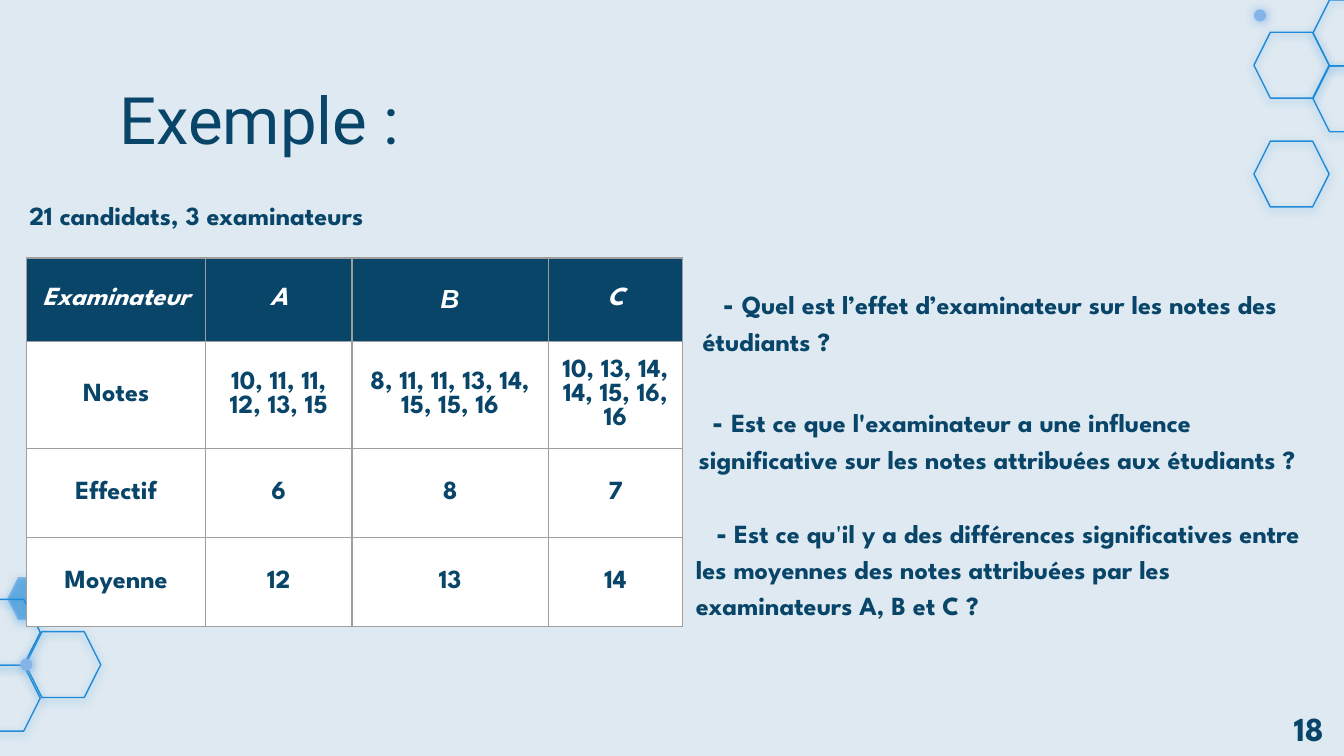
from dataclasses import dataclass
from lxml import etree
from pptx import Presentation
from pptx import util as u
from pptx.dml.color import RGBColor
from pptx.enum import shapes, text
from pptx.oxml import ns

NAVY, WHITE, PALE = "084569", "FFFFFF", "DEE9F1"
BLUE, SKY, GREY = "1F8AD7", "84B3E8", "9E9E9E"
SPARTAN = "League Spartan"


@dataclass
class Glow:
    tint: str
    alpha: int
    blur: float
    dist: float
    angle: int


@dataclass
class Deco:
    left: float
    top: float
    width: float
    height: float
    glow: Glow
    fill: str = ""
    line: str = ""
    alpha: int = 100
    kind: shapes.MSO_SHAPE = shapes.MSO_SHAPE.HEXAGON


@dataclass
class Run:
    words: str
    size: float = 14
    bold: bool = True


@dataclass
class Label:
    left: float
    top: float
    width: float
    height: float
    runs: list[Run]
    face: str = SPARTAN
    indent: float = 0
    space: float = 1.0
    inset: float = 0.1


def paint(target, tint: str) -> None:
    target.solid()
    target.fore_color.rgb = RGBColor.from_string(tint)


def add(parent, tag: str, **attrs):
    node = etree.SubElement(parent, ns.qn(tag))
    for key, value in attrs.items():
        node.set(key, str(value))
    return node


def draw_deco(slide, deco: Deco) -> None:
    shape = slide.shapes.add_shape(
        deco.kind, *map(u.Inches, (deco.left, deco.top, deco.width, deco.height)))
    shape.shadow.inherit = False
    if deco.fill:
        paint(shape.fill, deco.fill)
    else:
        shape.fill.background()
    if deco.line:
        paint(shape.line.fill, deco.line)
        shape.line.width = u.Pt(0.75)
    else:
        shape.line.fill.background()
    props = shape.element.spPr
    if deco.alpha < 100:
        tint = props.find(ns.qn("a:solidFill"))[0]
        add(tint, "a:alpha", val=deco.alpha * 1000)
    glow = deco.glow
    cast = add(props.find(ns.qn("a:effectLst")), "a:outerShdw",
               blurRad=u.Pt(glow.blur), dist=u.Pt(glow.dist),
               dir=glow.angle * 60000, algn="bl", rotWithShape=0)
    add(add(cast, "a:srgbClr", val=glow.tint), "a:alpha", val=glow.alpha * 1000)


def set_font(font, face: str, tint: str) -> None:
    font.name = face
    paint(font.fill, tint)


def draw_label(slide, label: Label) -> None:
    box = slide.shapes.add_textbox(
        *map(u.Inches, (label.left, label.top, label.width, label.height)))
    frame = box.text_frame
    frame.word_wrap = True
    frame.margin_left = frame.margin_right = u.Inches(0.1)
    frame.margin_top = frame.margin_bottom = u.Inches(label.inset)
    para = frame.paragraphs[0]
    para.line_spacing = label.space
    if label.indent:
        para._p.get_or_add_pPr().set("indent", str(u.Inches(label.indent)))
    set_font(para.font, label.face, NAVY)
    for item in label.runs:
        run = para.add_run()
        run.text = item.words
        run.font.size = u.Pt(item.size)
        run.font.bold = item.bold


def edge_cell(cell) -> None:
    props = cell._tc.get_or_add_tcPr()
    for spot, side in enumerate(("a:lnL", "a:lnR", "a:lnT", "a:lnB")):
        line = etree.Element(ns.qn(side), w=str(u.Pt(0.75)))
        add(add(line, "a:solidFill"), "a:srgbClr", val=GREY)
        props.insert(spot, line)


def draw_table(slide, rows: list[list[str]], widths: list[float],
               heights: list[float]) -> None:
    table = slide.shapes.add_table(
        len(rows), len(widths), u.Inches(0.2), u.Inches(1.92),
        u.Inches(sum(widths)), u.Inches(sum(heights))).table
    for col, width in zip(table.columns, widths):
        col.width = u.Inches(width)
    for r, (row, height) in enumerate(zip(rows, heights)):
        table.rows[r].height = u.Inches(height)
        head = r == 0
        for c, words in enumerate(row):
            cell = table.cell(r, c)
            cell.text = words
            cell.vertical_anchor = text.MSO_ANCHOR.MIDDLE
            paint(cell.fill, NAVY if head else WHITE)
            edge_cell(cell)
            para = cell.text_frame.paragraphs[0]
            para.alignment = text.PP_ALIGN.CENTER
            face = "Arial" if words == "B" else SPARTAN
            set_font(para.font, face, WHITE if head else NAVY)
            para.font.size = u.Pt(14)
            para.font.bold = True
            para.font.italic = head


def main() -> None:
    deck = Presentation()
    deck.slide_width = u.Inches(10)
    deck.slide_height = deck.slide_width * 9 // 16
    slide = deck.slides.add_slide(deck.slide_layouts[6])
    paint(slide.background.fill, PALE)

    soft = Glow(BLUE, 50, 4.5, 1.5, 90)
    halo = Glow(SKY, 100, 5.6, 0.8, 11)
    draw_deco(slide, Deco(0.06, 4.3, 0.36, 0.31, soft, BLUE, SKY, 53))
    for left, top in ((9.77, 0), (9.77, 0.49), (9.33, 0.24), (9.33, 1.05),
                      (-0.26, 4.46), (-0.26, 4.95), (0.19, 4.7)):
        draw_deco(slide, Deco(left, top, 0.56, 0.49, soft, line=BLUE))
    for left, top in ((0.15, 4.9), (9.33, 0.07)):
        draw_deco(slide, Deco(left, top, 0.09, 0.09, halo, SKY,
                              kind=shapes.MSO_SHAPE.OVAL))

    draw_table(slide, [
        ["Examinateur", "A", "B", "C"],
        ["Notes", "10, 11, 11, 12, 13, 15", "8, 11, 11, 13, 14, 15, 15, 16",
         "10, 13, 14, 14, 15, 16, 16"],
        ["Effectif", "6", "8", "7"],
        ["Moyenne", "12", "13", "14"],
    ], [1.33, 1.09, 1.46, 1], [0.62, 0.8, 0.66, 0.66])

    dash = Run("- ", 16)
    for label in (
        Label(0.79, 0.49, 8.43, 0.63, [Run("Exemple :", 35, False)], "Roboto"),
        Label(-0.04, 1.35, 4.74, 0.44, [Run("21 candidats, 3 examinateurs")],
              indent=0.16, space=1.15),
        Label(5.13, 1.98, 4.74, 0.66, [dash, Run(
            "Quel est l’effet d’examinateur sur les notes des étudiants ?")],
            indent=0.15, space=1.15),
        Label(5.1, 2.86, 4.78, 0.65, [dash, Run(
            "Est ce que l'examinateur a une influence significative "
            "sur les notes attribuées aux étudiants ?")],
            indent=0.1, space=1.15),
        Label(5.08, 3.68, 4.83, 0.92, [
            Run("-", 16), Run(" Est ce qu"), Run("'", bold=False),
            Run("il y a des différences significatives entre les moyennes "
                "des notes attribuées par les examinateurs A, B et C ?")],
            indent=0.15, space=1.15),
        Label(9.53, 5.22, 0.63, 0.4, [Run("18", 18)], inset=0.05),
    ):
        draw_label(slide, label)
    deck.save("out.pptx")


if __name__ == "__main__":
    main()
